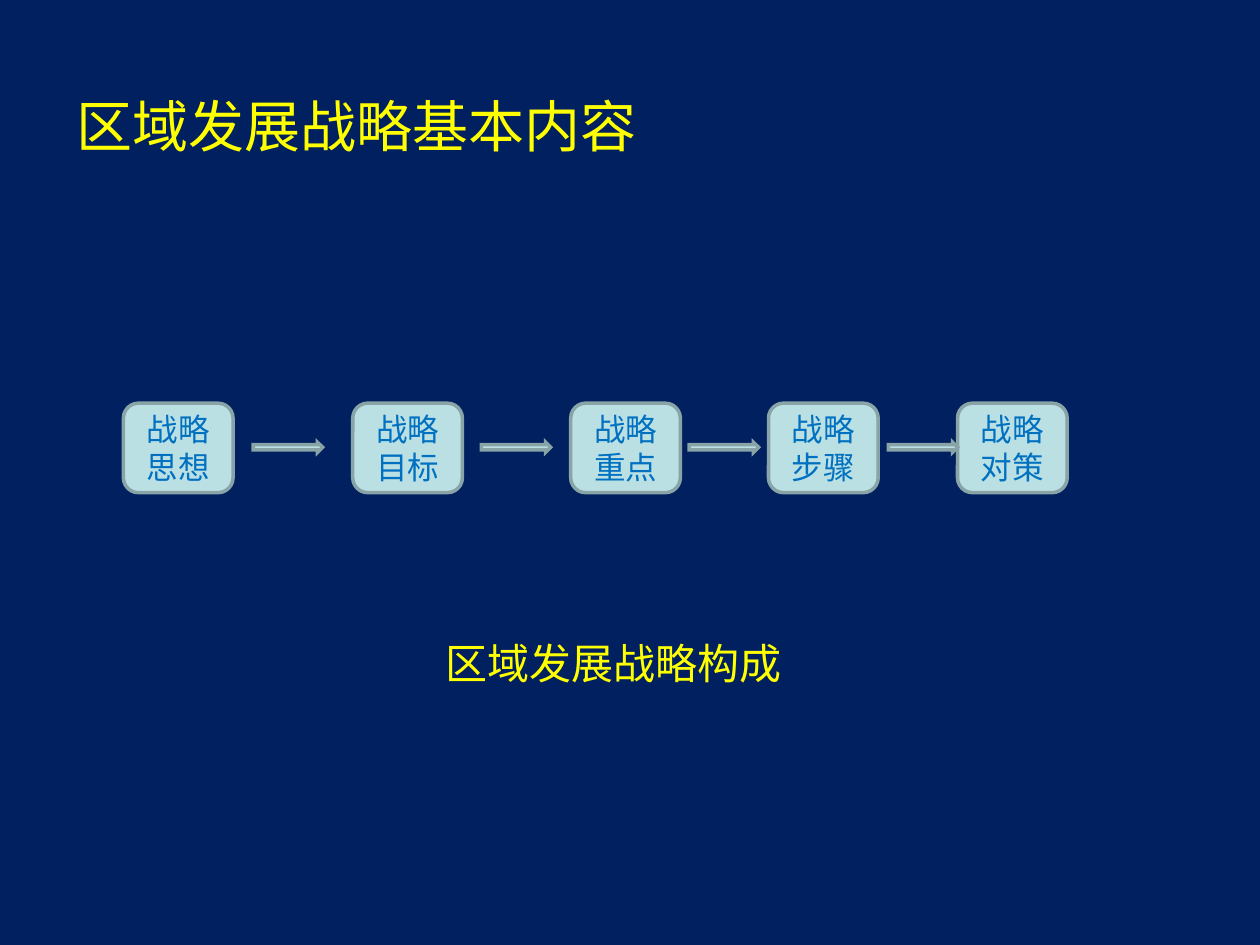
from pptx import Presentation
from pptx.dml.color import RGBColor
from pptx.enum.shapes import MSO_SHAPE
from pptx.enum.text import MSO_ANCHOR, MSO_AUTO_SIZE, PP_ALIGN
from pptx.oxml.ns import qn
from pptx.util import Inches, Pt
from lxml.etree import SubElement

FONT = "Noto Sans CJK SC"
NAVY, YELLOW, BLUE = "002060", "FFFF00", "0070C0"
PALE, GREY = "BBE0E3", "89A4A7"


def paint(color_format, color):
    color_format.rgb = RGBColor.from_string(color)


def write(frame, lines, size, color, align=PP_ALIGN.LEFT):
    for i, line in enumerate(lines):
        paragraph = frame.add_paragraph() if i else frame.paragraphs[0]
        paragraph.alignment = align
        paragraph.line_spacing = Pt(size * 1.2)
        run = paragraph.add_run()
        run.text = line
        run.font.size = Pt(size)
        run.font.name = FONT
        paint(run.font.color, color)
        SubElement(run.font._element, qn("a:ea"), typeface=FONT)


prs = Presentation()
prs.slide_width, prs.slide_height = Inches(10), Inches(7.5)
slide = prs.slides.add_slide(prs.slide_layouts[6])
slide.background.fill.solid()
paint(slide.background.fill.fore_color, NAVY)

# Strategy chain: five steps on one row, then the arrows between them
step_row, step_width, step_height = 3.2, 0.87, 0.71
arrow_row, arrow_width, arrow_height = 3.51, 0.55, 0.08
steps = zip((0.98, 2.8, 4.53, 6.1, 7.6), ("思想", "目标", "重点", "步骤", "对策"))
chain = [(MSO_SHAPE.ROUNDED_RECTANGLE, left, step_row, step_width, step_height, topic)
         for left, topic in steps]
chain += [(MSO_SHAPE.RIGHT_ARROW, left, arrow_row, arrow_width, arrow_height, None)
          for left in (2.01, 3.82, 5.47, 7.05)]

for preset, left, top, width, height, topic in chain:
    link = slide.shapes.add_shape(
        preset, Inches(left), Inches(top), Inches(width), Inches(height))
    link.shadow.inherit = False
    link.fill.solid()
    paint(link.fill.fore_color, PALE)
    paint(link.line.color, GREY)
    link.line.width = Pt(2)
    # Sharp corners on the outline
    SubElement(link.line._get_or_add_ln(), qn("a:miter"), lim="800000")
    if topic:
        link.text_frame.vertical_anchor = MSO_ANCHOR.MIDDLE
        write(link.text_frame, ("战略", topic), 18, BLUE, PP_ALIGN.CENTER)

# Caption under the chain, on a single line
caption = slide.shapes.add_textbox(Inches(3.44), Inches(5.01), Inches(2.9), Inches(0.5))
caption.text_frame.word_wrap = False
caption.text_frame.auto_size = MSO_AUTO_SIZE.SHAPE_TO_FIT_TEXT
write(caption.text_frame, ("区域发展战略构成",), 24, YELLOW)

# Title
title = slide.shapes.add_textbox(Inches(0.51), Inches(0.68), Inches(9), Inches(1.01))
title.text_frame.word_wrap = True
write(title.text_frame, ("区域发展战略基本内容",), 32, YELLOW)

prs.save("out.pptx")
